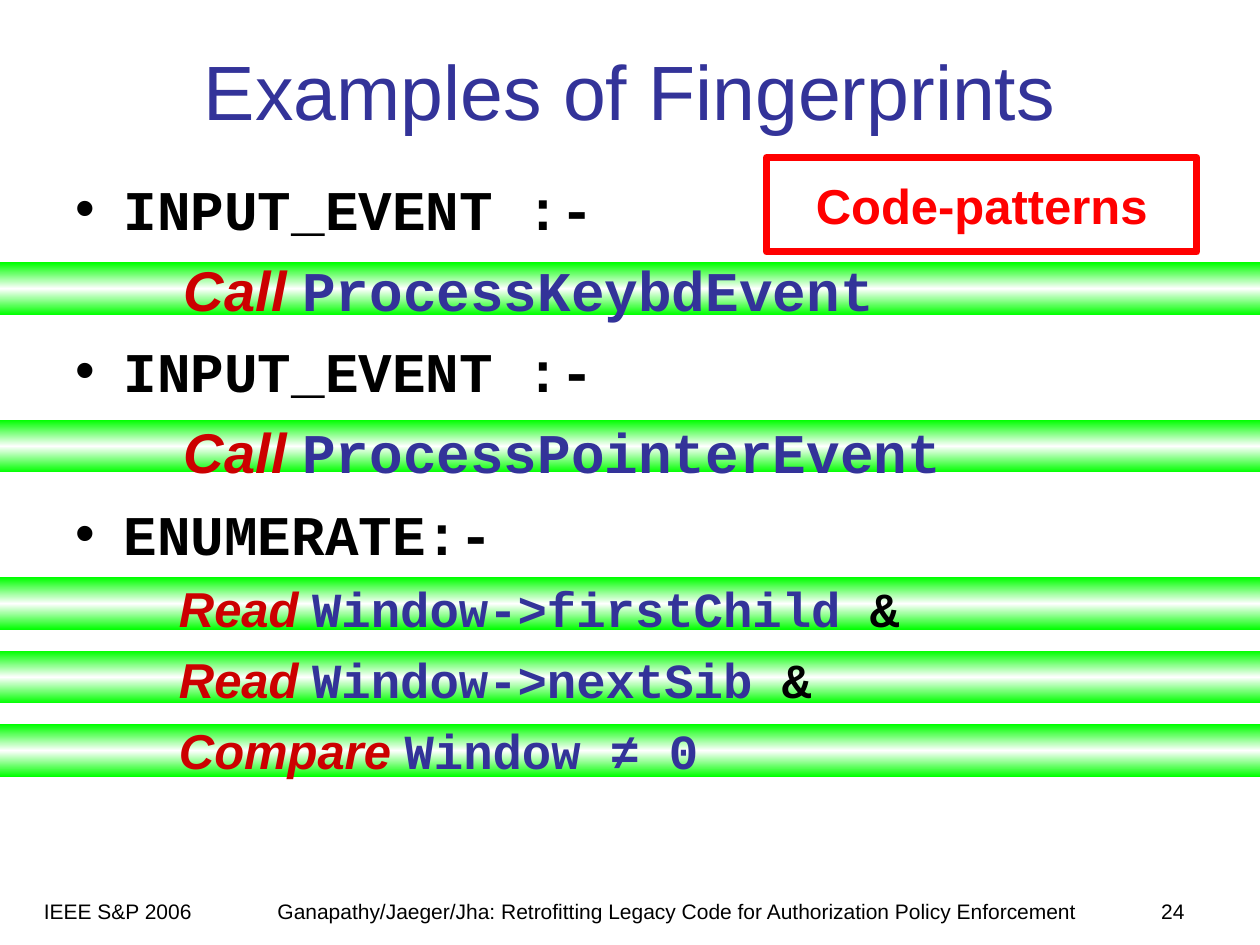
from copy import deepcopy
from typing import NamedTuple

from lxml.etree import SubElement
from pptx import Presentation
from pptx.dml.color import RGBColor
from pptx.enum.shapes import MSO_SHAPE as Preset
from pptx.enum.text import MSO_ANCHOR as Anchor, MSO_AUTO_SIZE as AutoSize, PP_ALIGN as Align
from pptx.oxml.ns import qn
from pptx.util import Inches, Pt

COLORS = {"ink": "000000", "title": "333399", "verb": "CC0000",
          "alert": "FF0000", "bar": "00FF00", "glow": "FFFFFF"}
SANS, MONO = "Arial", "Courier New"
COLUMNS, ROWS = 120, 90  # grid of the slide


class Area(NamedTuple):
    column: float
    row: float
    columns: float
    rows: float


class Span(NamedTuple):
    text: str
    color: str
    font: str = MONO
    italic: bool = False


class Line(NamedTuple):
    spans: list
    size: int
    before: int
    margin: float
    hanging: float = 0  # a hanging indent carries a bullet


class Footer(NamedTuple):
    text: str
    area: Area
    align: Align


def heading(text: str) -> Line:
    return Line([Span(text, "ink")], 32, 8, 0.38, 0.38)


def step(verb: str, target: str, joiner: str = "", size: int = 28,
         before: int = 7, margin: float = 0.82) -> Line:
    spans = [Span(verb + " ", "verb", SANS, True), Span(target, "title")]
    if joiner:
        spans.append(Span(joiner, "ink"))
    return Line(spans, size, before, margin)


def call(target: str) -> Line:
    return step("Call", target, size=32, before=8, margin=0.86)


BAR_ROWS = [25, 40, 55, 62, 69]
LINES = [
    heading("INPUT_EVENT :-"),
    call("ProcessKeybdEvent"),
    heading("INPUT_EVENT :-"),
    call("ProcessPointerEvent"),
    heading("ENUMERATE:-"),
    step("Read", "Window->firstChild", " &"),
    step("Read", "Window->nextSib", " &"),
    step("Compare", "Window ≠ 0"),
]
FOOTERS = [
    Footer("Ganapathy/Jaeger/Jha: Retrofitting Legacy Code for Authorization Policy Enforcement",
           Area(22, 85, 85, 3.2), Align.CENTER),
    Footer("24", Area(107, 85, 7, 3), Align.RIGHT),
    Footer("IEEE S&P 2006", Area(3, 85, 19, 3.2), Align.LEFT),
]

deck = Presentation()
deck.slide_width, deck.slide_height = Inches(10), Inches(7.5)


def rgb(name: str) -> RGBColor:
    return RGBColor.from_string(COLORS[name])


def bounds(area: Area) -> list[int]:
    cell_width, cell_height = deck.slide_width / COLUMNS, deck.slide_height / ROWS
    return [round(area.column * cell_width), round(area.row * cell_height),
            round(area.columns * cell_width), round(area.rows * cell_height)]


def apply(target, values: dict) -> None:
    for name, value in values.items():
        setattr(target, name, value)


def place(shape, area: Area) -> None:
    apply(shape, dict(zip(("left", "top", "width", "height"), bounds(area))))


def add_span(para, span: Span, size: int, bold: bool) -> None:
    run = para.add_run()
    run.text = span.text
    apply(run.font, {"name": span.font, "size": Pt(size), "bold": bold, "italic": span.italic})
    run.font.color.rgb = rgb(span.color)


def write(shape, span: Span, size: int, align: Align, bold: bool = False,
          wrap: bool = True, anchor: Anchor = Anchor.MIDDLE) -> None:
    apply(shape.text_frame, {"word_wrap": wrap, "auto_size": AutoSize.NONE,
                             "vertical_anchor": anchor})
    para = shape.text_frame.paragraphs[0]
    para.alignment = align
    add_span(para, span, size, bold)


def add_rectangle(page, area: Area):
    box = page.shapes.add_shape(Preset.RECTANGLE, *bounds(area))
    box.shadow.inherit = False
    return box


def add_bar(page, row: int) -> None:
    bar = add_rectangle(page, Area(0, row, COLUMNS, 5))
    bar.line.fill.background()
    bar.fill.gradient()
    bar.fill.gradient_angle = 90
    stops = bar.element.find(".//" + qn("a:gsLst"))
    stops.insert(1, deepcopy(stops[0]))
    for stop, color, position in zip(bar.fill.gradient_stops, ("bar", "glow", "bar"), (0, 0.5, 1)):
        stop.color.rgb = rgb(color)
        stop.position = position


def add_line(para, line: Line) -> None:
    apply(para, {"space_before": Pt(line.before), "alignment": Align.LEFT})
    properties = para._p.get_or_add_pPr()
    properties.set("marL", str(Inches(line.margin)))
    properties.set("indent", str(-Inches(line.hanging)))
    if line.hanging:
        color = SubElement(properties, qn("a:buClr"))
        SubElement(color, qn("a:srgbClr"), val=COLORS["ink"])
        SubElement(properties, qn("a:buFont"), typeface=SANS)
        SubElement(properties, qn("a:buChar"), char="•")
    else:
        SubElement(properties, qn("a:buNone"))
    for span in line.spans:
        add_span(para, span, line.size, True)


def main() -> None:
    page = deck.slides.add_slide(deck.slide_layouts[1])
    title, body = page.placeholders

    # Highlight bars and label
    for row in BAR_ROWS:
        add_bar(page, row)
    label = add_rectangle(page, Area(73, 15, 41, 9))
    label.fill.background()
    label.line.color.rgb = rgb("alert")
    label.line.width = Pt(4)
    write(label, Span("Code-patterns", "alert", SANS), 28, Align.CENTER, bold=True, wrap=False)

    # Title and list, brought in front of the bars
    for holder, area in ((title, Area(6, 2, 108, 13)), (body, Area(6, 16, 108, 67))):
        place(holder, area)
        holder.element.getparent().append(holder.element)
    write(title, Span("Examples of Fingerprints", "title", SANS), 44, Align.CENTER)
    apply(body.text_frame, {"word_wrap": True, "auto_size": AutoSize.NONE})
    for index, line in enumerate(LINES):
        para = body.text_frame.add_paragraph() if index else body.text_frame.paragraphs[0]
        add_line(para, line)

    # Footer
    for footer in FOOTERS:
        box = page.shapes.add_textbox(*bounds(footer.area))
        write(box, Span(footer.text, "ink", SANS), 12, footer.align, anchor=Anchor.TOP)

    deck.save("out.pptx")


if __name__ == "__main__":
    main()
